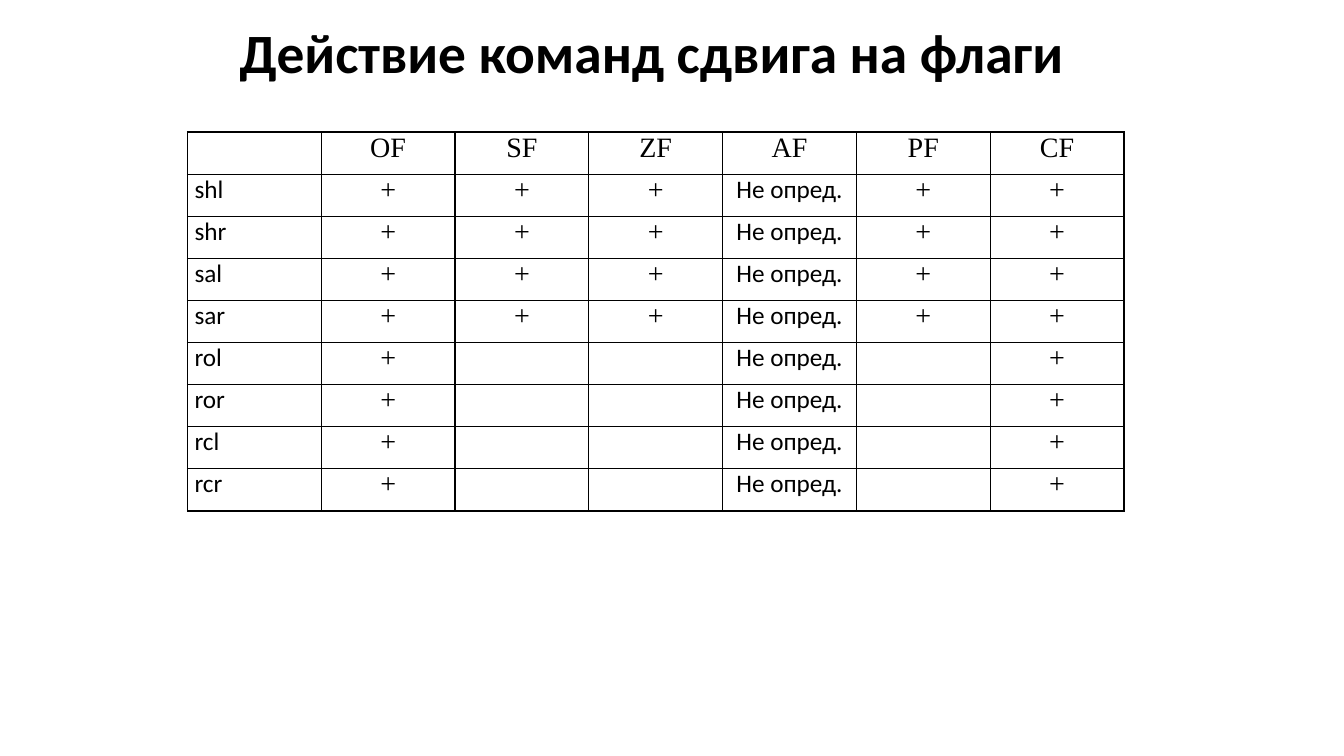
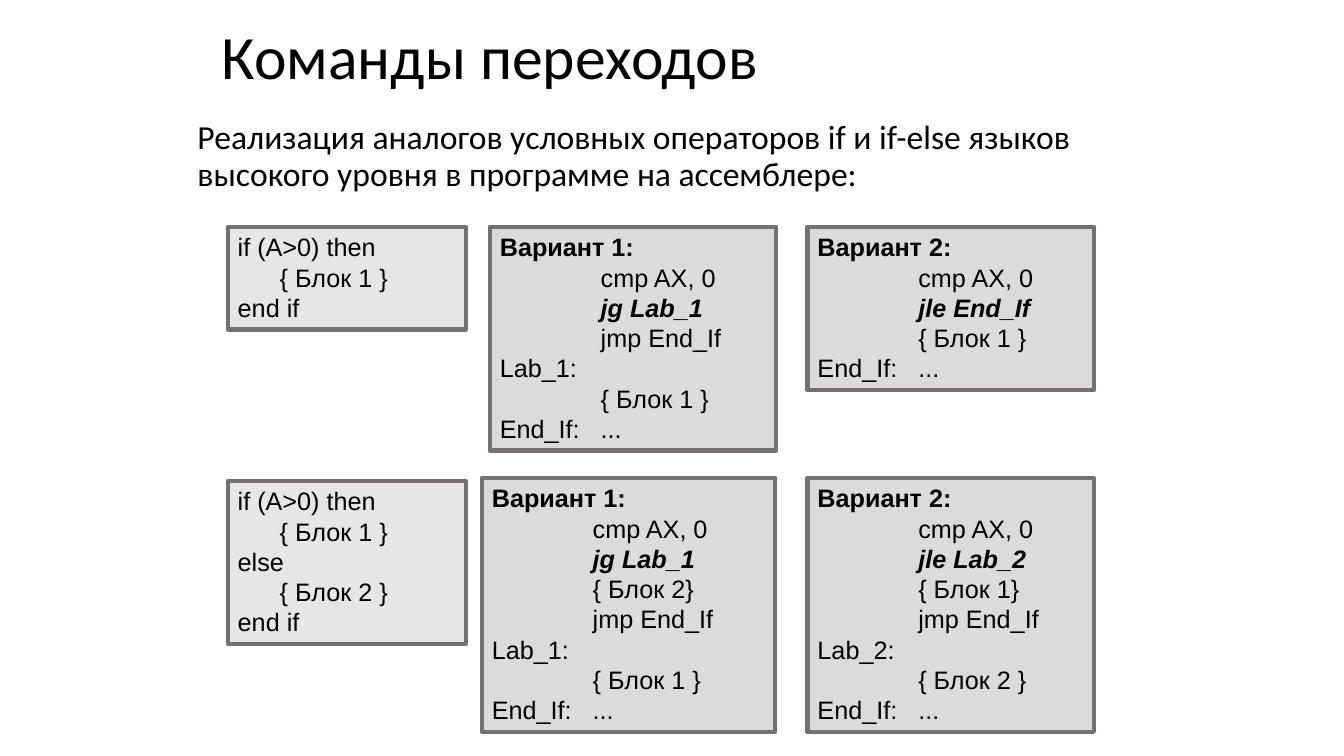
from dataclasses import dataclass

from lxml.etree import SubElement
from pptx import Presentation
from pptx.dml.color import RGBColor as RGB
from pptx.enum.shapes import MSO_SHAPE as SHAPE
from pptx.enum.text import MSO_ANCHOR as ANCHOR, MSO_AUTO_SIZE as AUTO, PP_ALIGN as ALIGN
from pptx.oxml.ns import qn
from pptx.util import Inches, Pt


@dataclass(frozen=True)
class Theme:
    ink: RGB = RGB(0x00, 0x00, 0x00)
    frame: RGB = RGB(0x76, 0x71, 0x71)
    source_fill: RGB = RGB(0xE7, 0xE6, 0xE6)
    variant_fill: RGB = RGB(0xDB, 0xDB, 0xDB)
    heading: str = "Calibri"
    code: str = "Arial"
    symbol: str = "Times New Roman"
    title_size: float = 44
    small_title_size: float = 39.6
    lead_size: float = 24
    symbol_size: float = 20
    text_size: float = 18
    border: float = 1
    frame_width: float = 3
    tab: float = 1.0


THEME = Theme()

FLAGS = ["OF", "SF", "ZF", "AF", "PF", "CF"]
UNDEFINED = "Не опред."
SHIFT_MARKS = ["+", "+", "+", UNDEFINED, "+", "+"]
ROTATE_MARKS = ["+", "", "", UNDEFINED, "", "+"]
COMMANDS = {
    **dict.fromkeys(["shl", "shr", "sal", "sar"], SHIFT_MARKS),
    **dict.fromkeys(["rol", "ror", "rcl", "rcr"], ROTATE_MARKS),
}

BOLD = {"bold": True}
JUMP = {"bold": True, "italic": True}
BLOCK_1 = "\t{ Блок 1 }"
END_IF = "End_If:\t..."
JMP_END = "\tjmp End_If"


def add_run(paragraph, text, font, size, **extra):
    """Append a run in the given font."""
    run = paragraph.add_run()
    run.text = text
    look = {"name": font, "size": Pt(size), **extra}
    for key, value in look.items():
        setattr(run.font, key, value)
    run.font.color.rgb = THEME.ink


def add_text(slide, box, text, size, align=ALIGN.LEFT, anchor=ANCHOR.TOP, **extra):
    """Place one paragraph of heading text in a box."""
    frame = slide.shapes.add_textbox(*map(Inches, box)).text_frame
    for key, value in {"word_wrap": True, "vertical_anchor": anchor}.items():
        setattr(frame, key, value)
    paragraph = frame.paragraphs[0]
    for key, value in {"alignment": align, "line_spacing": 0.9}.items():
        setattr(paragraph, key, value)
    add_run(paragraph, text, THEME.heading, size, **extra)


def add_title(slide, box, text, size=THEME.title_size, **extra):
    add_text(slide, box, text, size, anchor=ANCHOR.MIDDLE, **extra)


def draw_borders(cell):
    """Rule all four sides of a table cell."""
    properties = cell._tc.get_or_add_tcPr()
    for side in ("lnL", "lnR", "lnT", "lnB"):
        line = SubElement(properties, qn(f"a:{side}"), w=str(Pt(THEME.border)))
        fill = SubElement(line, qn("a:solidFill"))
        SubElement(fill, qn("a:srgbClr"), val=str(THEME.ink))


def fill_cell(cell, text, is_command):
    draw_borders(cell)
    cell.fill.background()
    margins = {"margin_left": 0.07, "margin_right": 0.07, "margin_top": 0, "margin_bottom": 0}
    for key, value in margins.items():
        setattr(cell, key, Inches(value))
    paragraph = cell.text_frame.paragraphs[0]
    paragraph.alignment = ALIGN.LEFT if is_command else ALIGN.CENTER
    if not text:
        return
    if is_command or text == UNDEFINED:
        add_run(paragraph, text, THEME.heading, THEME.text_size)
    else:
        add_run(paragraph, text, THEME.symbol, THEME.symbol_size)


def add_flag_table(slide, box):
    """Draw the grid of commands against flags."""
    left, top, width, height = map(Inches, box)
    rows = [["", *FLAGS]] + [[name, *marks] for name, marks in COMMANDS.items()]
    table = slide.shapes.add_table(len(rows), len(rows[0]), left, top, width, height).table
    table.first_row = table.horz_banding = False
    for column in table.columns:
        column.width = width // len(rows[0])
    for row, texts in zip(table.rows, rows):
        row.height = height // len(rows)
        for index, (cell, text) in enumerate(zip(row.cells, texts)):
            fill_cell(cell, text, is_command=index == 0)


def add_code_panel(slide, left, top, width, fill, lines):
    """Draw a framed listing whose height follows its line count."""
    height = 0.3 * len(lines) + 0.12
    panel = slide.shapes.add_shape(SHAPE.RECTANGLE, *map(Inches, (left, top, width, height)))
    panel.shadow.inherit = False
    panel.fill.solid()
    panel.fill.fore_color.rgb = fill
    panel.line.color.rgb = THEME.frame
    panel.line.width = Pt(THEME.frame_width)

    frame = panel.text_frame
    layout = {"word_wrap": True, "auto_size": AUTO.SHAPE_TO_FIT_TEXT, "vertical_anchor": ANCHOR.TOP}
    for key, value in layout.items():
        setattr(frame, key, value)
    for index, (text, look) in enumerate(lines):
        paragraph = frame.add_paragraph() if index else frame.paragraphs[0]
        paragraph.alignment = ALIGN.LEFT
        tabs = SubElement(paragraph._p.get_or_add_pPr(), qn("a:tabLst"))
        SubElement(tabs, qn("a:tab"), pos=str(Inches(THEME.tab)), algn="l")
        add_run(paragraph, text, THEME.code, THEME.text_size, **look)


def source_lines(*texts):
    return [(text, {}) for text in texts]


def variant_lines(number, jump, *rest):
    """Open with a heading, the comparison and a stressed conditional jump."""
    opening = [(f"Вариант {number}:", BOLD), ("\tcmp AX, 0", {}), (f"\t{jump}", JUMP)]
    return opening + source_lines(*rest)


def build_flags_slide(slide):
    add_title(slide, (1.78, 0.21, 9.37, 0.69), "Действие команд сдвига на флаги",
              THEME.small_title_size, align=ALIGN.CENTER, bold=True)
    add_flag_table(slide, (1.86, 1.31, 9.29, 3.76))


def build_jumps_slide(slide):
    add_text(slide, (1.86, 1.15, 9.69, 0.94),
             "Реализация аналогов условных операторов if и if-else языков "
             "высокого уровня в программе на ассемблере:", THEME.lead_size)
    add_title(slide, (2.1, 0.21, 9, 0.77), "Команды переходов")

    source = (2.26, 2.36, THEME.source_fill)
    first_short = (4.86, 2.84, THEME.variant_fill)
    first_long = (4.78, 2.91, THEME.variant_fill)
    second = (8.01, 2.84, THEME.variant_fill)
    panels = [
        # if
        (source, 2.25, source_lines("if (A>0) then", "      { Блок 1 }", "end if")),
        (first_short, 2.25, variant_lines(1, "jg Lab_1", JMP_END, "Lab_1:", BLOCK_1, END_IF)),
        (second, 2.25, variant_lines(2, "jle End_If", BLOCK_1, END_IF)),
        # if-else
        (source, 4.77, source_lines("if (A>0) then", "      { Блок 1 }", "else",
                                    "      { Блок 2 }", "end if")),
        (second, 4.74, variant_lines(2, "jle Lab_2", "\t{ Блок 1}", JMP_END,
                                     "Lab_2:", "\t{ Блок 2 }", END_IF)),
        (first_long, 4.74, variant_lines(1, "jg Lab_1", "\t{ Блок 2}", JMP_END,
                                         "Lab_1:", BLOCK_1, END_IF)),
    ]
    for (left, width, fill), top, lines in panels:
        add_code_panel(slide, left, top, width, fill, lines)


def main():
    deck = Presentation()
    deck.slide_width, deck.slide_height = Inches(13.33), Inches(7.5)
    blank = deck.slide_layouts[6]
    for build in (build_flags_slide, build_jumps_slide):
        build(deck.slides.add_slide(blank))
    deck.save("out.pptx")


if __name__ == "__main__":
    main()
